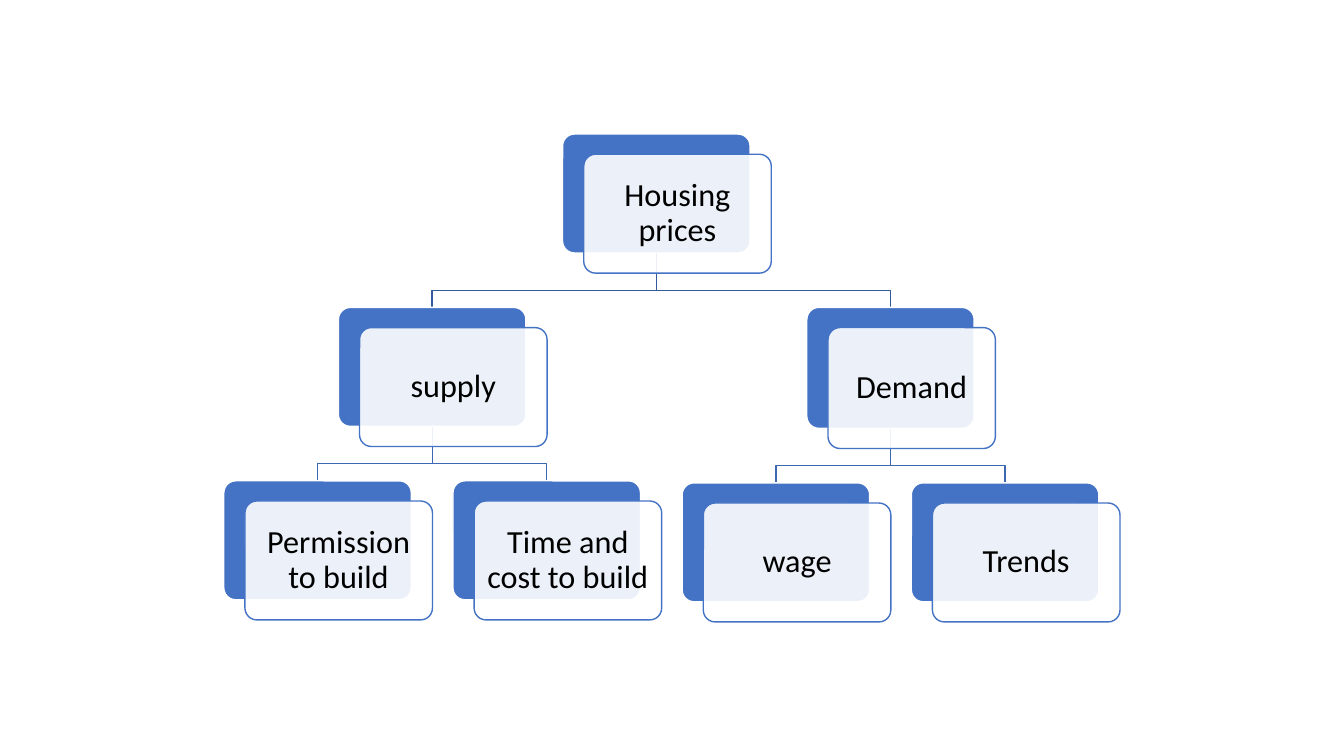
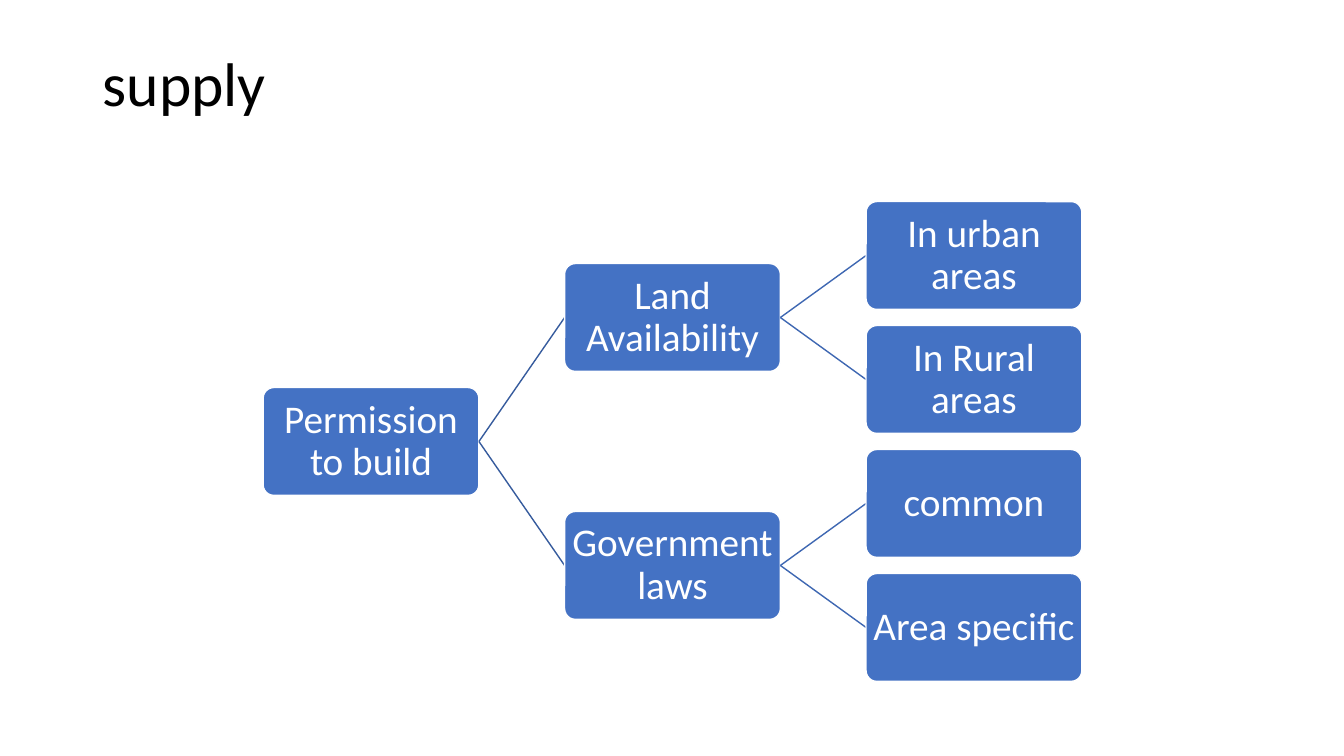
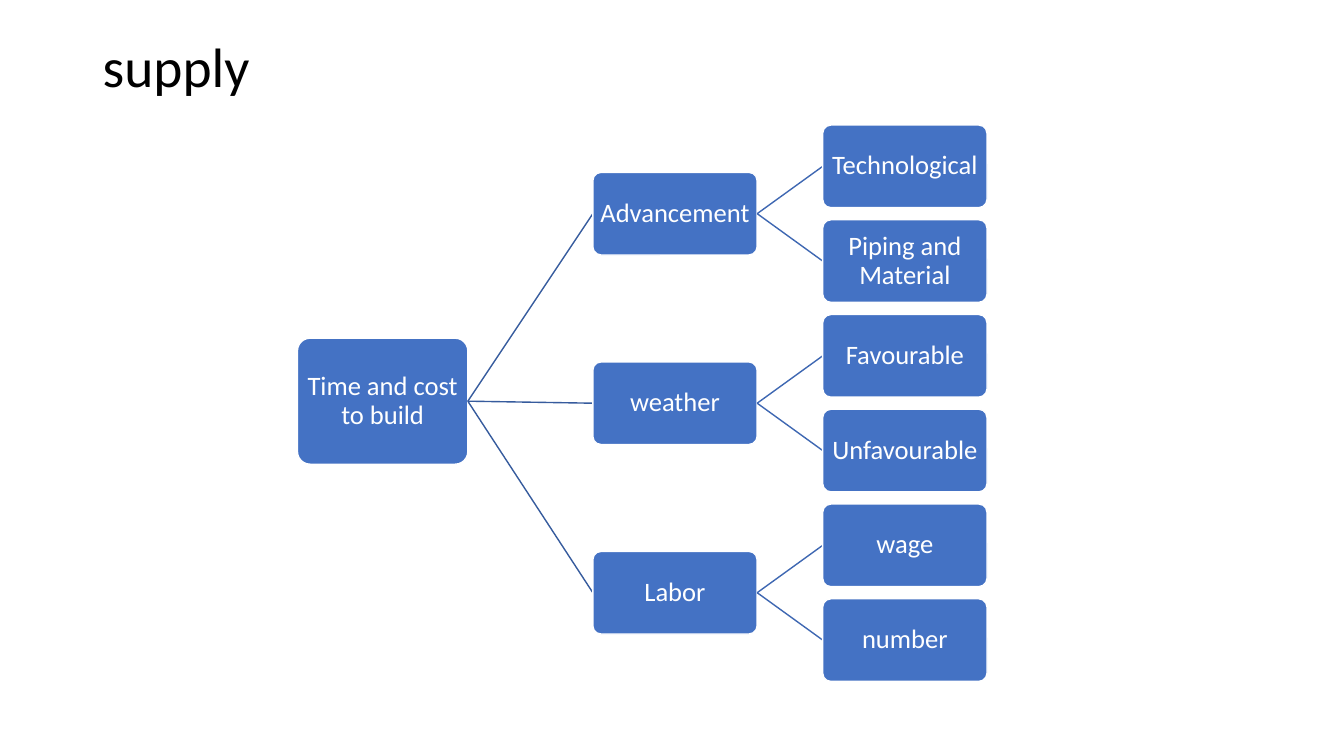
"""Build three slides of trees on what drives housing prices."""
from lxml.etree import SubElement
from pptx import Presentation
from pptx.dml.color import RGBColor
from pptx.enum.shapes import MSO_CONNECTOR, MSO_SHAPE
from pptx.enum.text import MSO_ANCHOR, PP_ALIGN
from pptx.oxml.ns import qn
from pptx.util import Inches, Pt

COLORS = {"blue": "4472C4", "white": "FFFFFF", "black": "000000",
          "trunk": "365B9D", "twig": "3E67B2"}
FONT = "Calibri"

PRICES = {
    "text": "Housing prices", "mid": 6.51, "top": 1.33, "size": (1.86, 1.18),
    "kids": [
        {"text": "supply", "size": (1.86, 1.18),
         "kids": ["Permission to build", "Time and cost to build"]},
        {"text": "Demand", "size": (1.66, 1.2), "kids": ["wage", "Trends"]},
    ],
}
LEAF = {"left": 2.22, "pitch": 2.273, "size": (1.86, 1.18)}
SHIFT, DROP, BEND = (0.21, 0.2), 0.54, 0.37

TREES = [
    {"title": "supply", "high": 0.91, "points": 44, "font": 28, "inset": 0.02,
     "cols": (2.61, 5.6, 8.59), "top": 2, "pitch": 1.23,
     "size": (2.14, 1.07), "root": (2.14, 1.07), "mid": 4.38,
     "text": "Permission to build",
     "kids": [("Land Availability", ["In urban areas", "In Rural areas"]),
              ("Government laws", ["common", "Area specific"])]},
    {"title": "supply", "high": 0.58, "points": 39.6, "font": 19, "inset": 0.01,
     "cols": (2.95, 5.88, 8.16), "top": 1.24, "pitch": 0.94,
     "size": (1.63, 0.82), "root": (1.69, 1.25), "mid": 3.98,
     "text": "Time and cost to build",
     "kids": [("Advancement", ["Technological", "Piping and Material"]),
              ("weather", ["Favourable", "Unfavourable"]),
              ("Labor", ["wage", "number"])]},
]


def color(name):
    return RGBColor.from_string(COLORS[name])


def write(shape, text, size, ink, align=PP_ALIGN.CENTER, inset=None):
    frame = shape.text_frame
    frame.word_wrap = True
    frame.vertical_anchor = MSO_ANCHOR.MIDDLE
    if inset is not None:
        frame.margin_left = frame.margin_right = Inches(inset)
        frame.margin_top = frame.margin_bottom = Inches(inset)
    para = frame.paragraphs[0]
    para.alignment, para.line_spacing = align, 0.9
    run = para.add_run()
    run.text = text
    run.font.name, run.font.size = FONT, Pt(size)
    run.font.color.rgb = color(ink)


def stroke(line, name):
    line.color.rgb = color(name)
    line.width = Pt(1)


def add_box(slide, left, top, size, fill="blue", edge="white"):
    box = slide.shapes.add_shape(MSO_SHAPE.ROUNDED_RECTANGLE, Inches(left),
                                 Inches(top), *map(Inches, size))
    box.adjustments[0] = 0.1
    box.shadow.inherit = False
    box.fill.solid()
    box.fill.fore_color.rgb = color(fill)
    stroke(box.line, edge)
    return box


def add_card(slide, text, mid, top, size):
    left = mid - size[0] / 2
    add_box(slide, left, top, size)
    front = add_box(slide, left + SHIFT[0], top + SHIFT[1], size, "white", "blue")
    tint = front.fill._xPr.find(".//" + qn("a:srgbClr"))
    SubElement(tint, qn("a:alpha"), val="90000")
    write(front, text, 23, "black", inset=0.09)


def add_elbow(slide, start, end, name):
    (x, y), (far, low) = start, end
    pen = slide.shapes.build_freeform(Inches(x), Inches(y))
    turns = [(x, y + BEND), (far, y + BEND), (far, low)]
    pen.add_line_segments([(Inches(a), Inches(b)) for a, b in turns], close=False)
    elbow = pen.convert_to_shape()
    elbow.shadow.inherit = False
    elbow.fill.background()
    stroke(elbow.line, name)


def add_link(slide, start, end, name):
    link = slide.shapes.add_connector(MSO_CONNECTOR.STRAIGHT,
                                      *map(Inches, start + end))
    stroke(link.line, name)
    SubElement(link._element.spPr, qn("a:effectLst"))


def draw_prices(slide):
    cards = [(PRICES["text"], PRICES["mid"], PRICES["top"], PRICES["size"])]
    base = PRICES["top"] + PRICES["size"][1]
    first = LEAF["left"] + LEAF["size"][0] / 2
    count = 0
    for kid in PRICES["kids"]:
        mids = [first + (count + i) * LEAF["pitch"] for i in range(len(kid["kids"]))]
        count += len(mids)
        mid, top = sum(mids) / len(mids), base + DROP
        low = top + kid["size"][1]
        add_elbow(slide, (PRICES["mid"], base), (mid, top), "trunk")
        cards.append((kid["text"], mid, top, kid["size"]))
        for text, spot in zip(kid["kids"], mids):
            add_elbow(slide, (mid, low), (spot, low + DROP), "twig")
            cards.append((text, spot, low + DROP, LEAF["size"]))
    for card in cards:
        add_card(slide, *card)


def draw_tree(slide, tree):
    title = slide.shapes.add_textbox(Inches(0.92), Inches(0.4), Inches(11.5),
                                     Inches(tree["high"]))
    write(title, tree["title"], tree["points"], "black", PP_ALIGN.LEFT)

    def add_node(text, left, mid, size):
        box = add_box(slide, left, mid - size[1] / 2, size)
        write(box, text, tree["font"], "white", inset=tree["inset"])
        return left + size[0], mid

    size, (left, inner, outer) = tree["size"], tree["cols"]
    root = add_node(tree["text"], left, tree["mid"], tree["root"])
    first, count = tree["top"] + size[1] / 2, 0
    for text, leaves in tree["kids"]:
        mids = [first + (count + i) * tree["pitch"] for i in range(len(leaves))]
        count += len(mids)
        mid = sum(mids) / len(mids)
        add_link(slide, root, (inner, mid), "trunk")
        node = add_node(text, inner, mid, size)
        for leaf, spot in zip(leaves, mids):
            add_link(slide, node, (outer, spot), "twig")
            add_node(leaf, outer, spot, size)


def main():
    deck = Presentation()
    deck.slide_width, deck.slide_height = Inches(13.33), Inches(7.5)
    blank = deck.slide_layouts[6]
    draw_prices(deck.slides.add_slide(blank))
    for tree in TREES:
        draw_tree(deck.slides.add_slide(blank), tree)
    deck.save("out.pptx")


if __name__ == "__main__":
    main()
